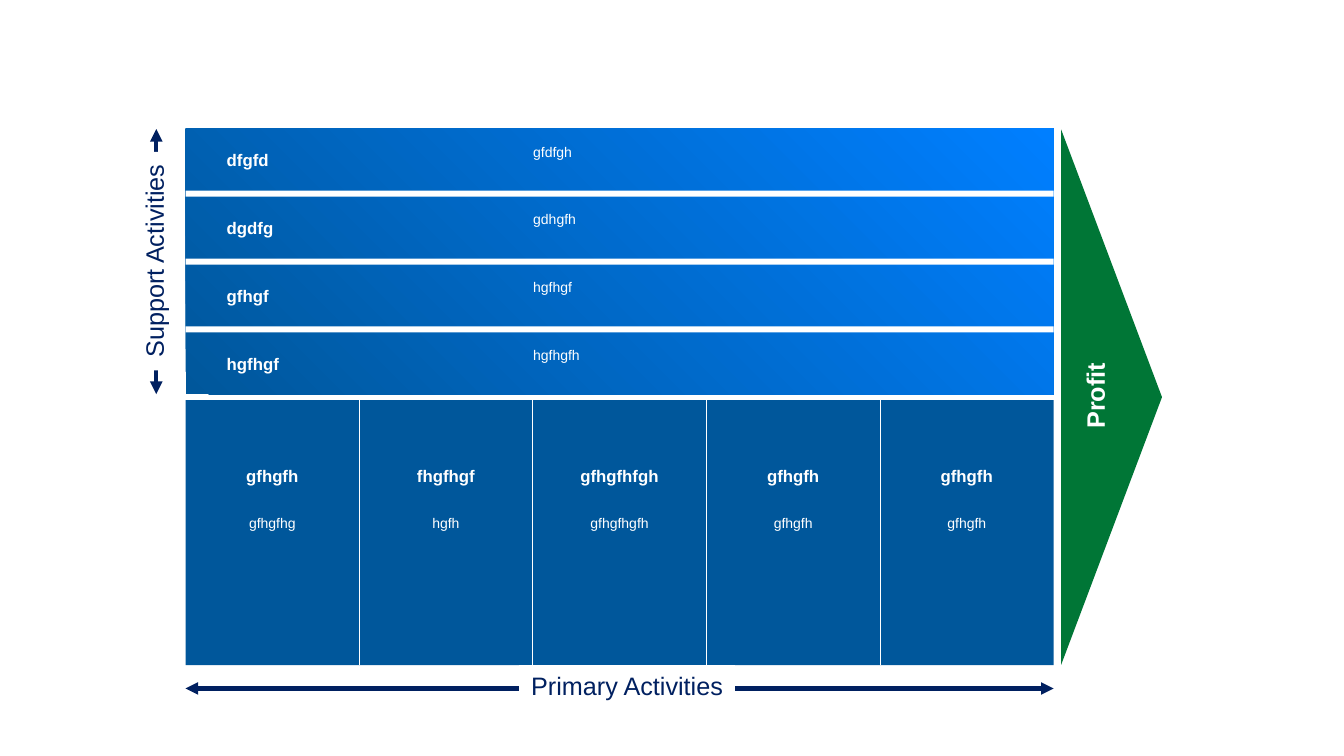
from lxml import etree
from pptx import Presentation
from pptx import util as u
from pptx.dml import color
from pptx.enum import shapes, text
from pptx.oxml import ns

COLORS = {"navy": "002060", "blue": "00579B", "bright": "007FFF",
          "green": "007636", "white": "FFFFFF"}
LEFT, TOP, WIDTH, HEIGHT = 1.84, 1.28, 8.61, 2.63
GAP = 0.06
RIGHT = LEFT + WIDTH
PRIMARY_TOP = TOP + HEIGHT + GAP
BOTTOM = PRIMARY_TOP + HEIGHT
SUPPORT = [("dfgfd", "gfdfgh"), ("dgdfg", "gdhgfh"),
           ("gfhgf", "hgfhgf"), ("hgfhgf", "hgfhgfh")]
PRIMARY = [("gfhgfh", "gfhgfhg"), ("fhgfhgf", "hgfh"), ("gfhgfhfgh", "gfhgfhgfh"),
           ("gfhgfh", "gfhgfh"), ("gfhgfh", "gfhgfh")]
ROW = (HEIGHT + GAP) / len(SUPPORT)
COLUMN = WIDTH / len(PRIMARY)

presentation = Presentation()
presentation.slide_width = u.Inches(13.33)
presentation.slide_height = u.Inches(7.5)
slide = presentation.slides.add_slide(presentation.slide_layouts[6])


def add_block(box, fill, kind=shapes.MSO_SHAPE.RECTANGLE, rotation=0):
    shape = slide.shapes.add_shape(kind, *[u.Inches(length) for length in box])
    shape.shadow.inherit = False
    shape.line.fill.background()
    shape.fill.solid()
    shape.fill.fore_color.rgb = color.RGBColor.from_string(COLORS[fill])
    shape.rotation = rotation
    return shape


def write(shape, words, size, ink="white", bold=False, centred=False, wrap=True):
    frame = shape.text_frame
    frame.word_wrap = wrap
    frame.auto_size = text.MSO_AUTO_SIZE.SHAPE_TO_FIT_TEXT
    paragraph = frame.paragraphs[0]
    paragraph.alignment = text.PP_ALIGN.CENTER if centred else text.PP_ALIGN.LEFT
    run = paragraph.add_run()
    run.text = words
    run.font.name = "Arial"
    run.font.size = u.Pt(size)
    run.font.bold = bold
    run.font.color.rgb = color.RGBColor.from_string(COLORS[ink])


support_band = add_block((LEFT, TOP, WIDTH, HEIGHT), "blue")
support_band.fill.gradient()
support_band.fill.gradient_angle = 45
for stop, shade, position in zip(support_band.fill.gradient_stops, ("blue", "bright"), (0, 1)):
    stop.color.rgb = color.RGBColor.from_string(COLORS[shade])
    stop.position = position

for row in range(1, len(SUPPORT)):
    add_block((LEFT, TOP + row * ROW - GAP, WIDTH, GAP), "white")
add_block((LEFT, PRIMARY_TOP, WIDTH, HEIGHT), "blue")

arrows = [(1.55, TOP, 1.55, TOP + HEIGHT), (LEFT, 6.83, RIGHT, 6.83)]
dividers = [(LEFT + column * COLUMN, PRIMARY_TOP, LEFT + column * COLUMN, BOTTOM)
            for column in range(1, len(PRIMARY))]
for ends in arrows + dividers:
    is_arrow = ends in arrows
    connector = slide.shapes.add_connector(
        shapes.MSO_CONNECTOR.STRAIGHT, *[u.Inches(length) for length in ends])
    connector.line.width = u.Pt(3 if is_arrow else 0.5)
    connector.line.color.rgb = color.RGBColor.from_string(COLORS["navy" if is_arrow else "white"])
    if is_arrow:
        for end in ("a:headEnd", "a:tailEnd"):
            etree.SubElement(connector.line._get_or_add_ln(), ns.qn(end), type="triangle")
    etree.SubElement(connector._element.spPr, ns.qn("a:effectLst"))

add_block((8.37, 3.44, 5.31, 1), "green", shapes.MSO_SHAPE.ISOSCELES_TRIANGLE, 90)

captions = []
for row, (heading, detail) in enumerate(SUPPORT):
    top = TOP + row * ROW
    captions.append(((2.15, top + 0.16, 2.75, 0.3), heading, 12, False))
    captions.append(((5.19, top + 0.09, 4.79, 0.27), detail, 10, False))
for column, (heading, detail) in enumerate(PRIMARY):
    left = LEFT + column * COLUMN
    captions.append(((left, 4.57, COLUMN, 0.3), heading, 12, True))
    captions.append(((left, 5.06, COLUMN, 0.27), detail, 10, True))
for box, words, size, centred in captions:
    caption = slide.shapes.add_textbox(*[u.Inches(length) for length in box])
    write(caption, words, size, bold=size == 12, centred=centred)

for box, words, rotation in [((5.15, BOTTOM, 2.14, 0.4), "Primary Activities", 0),
                             ((0.44, 2.39, 2.17, 0.4), "Support Activities", 270)]:
    write(add_block(box, "white", rotation=rotation), words, 18, "navy", centred=True, wrap=False)

profit = slide.shapes.add_textbox(u.Inches(10.43), u.Inches(3.72), u.Inches(0.86), u.Inches(0.4))
profit.rotation = 270
write(profit, "Profit", 18, bold=True, wrap=False)

presentation.save("out.pptx")
